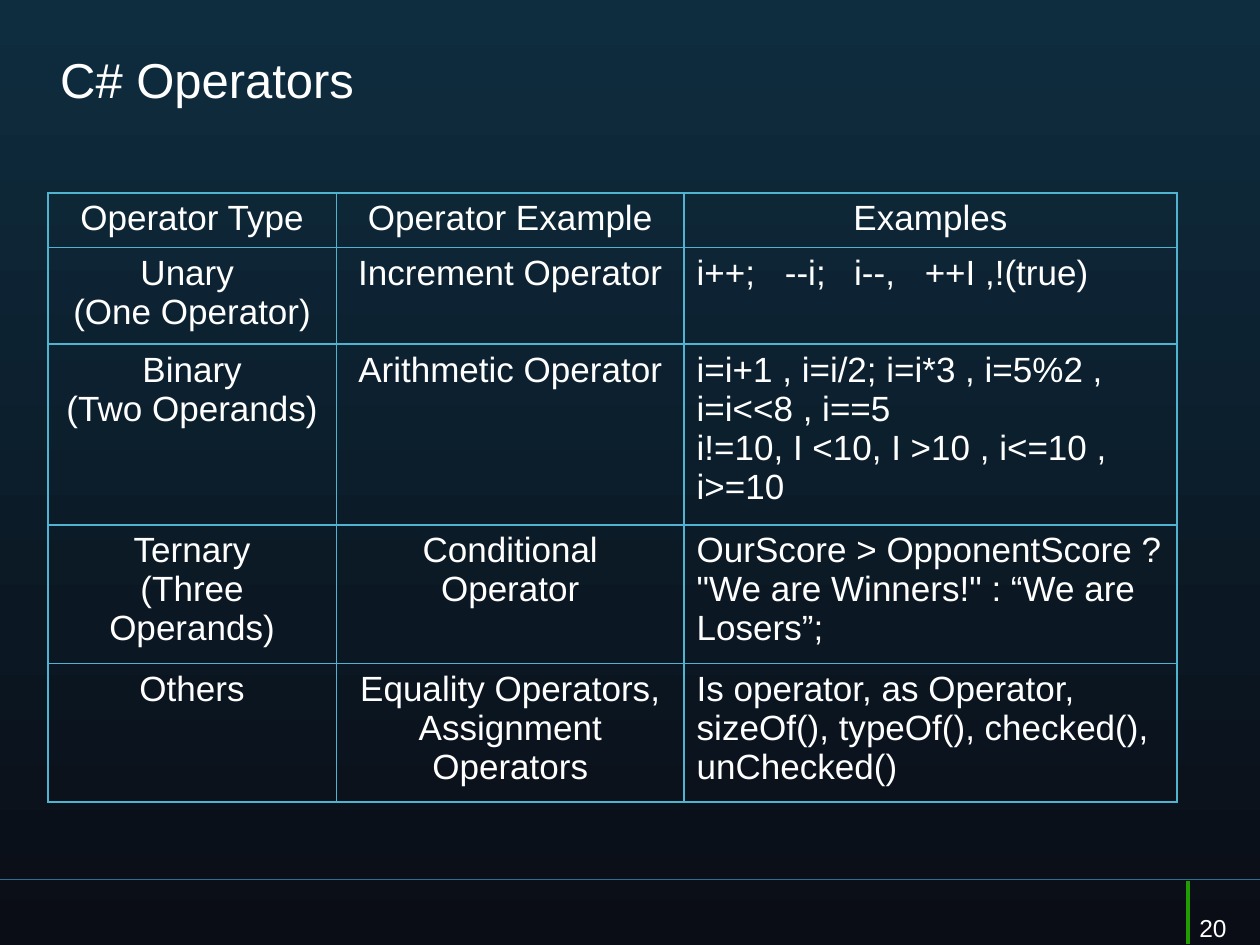
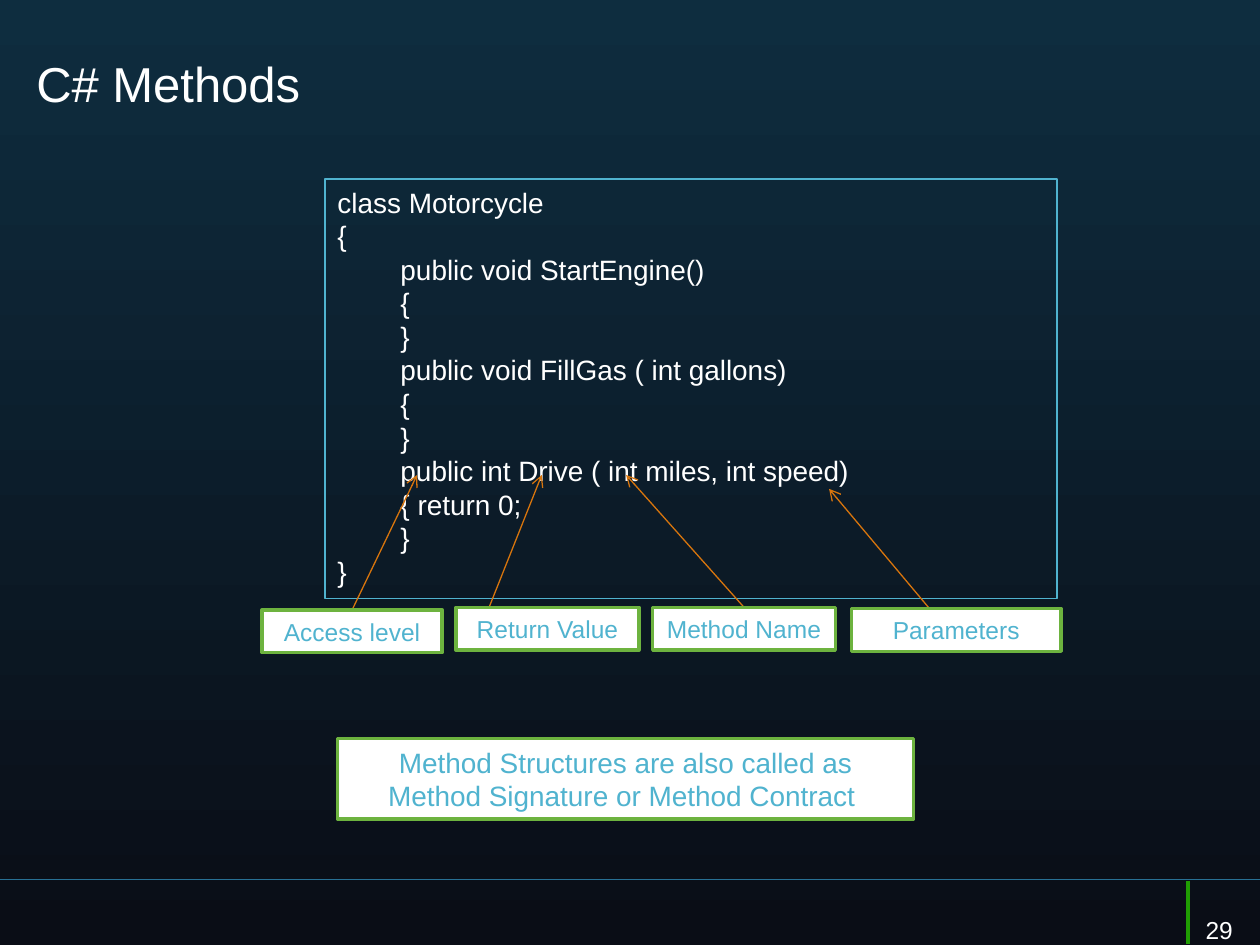
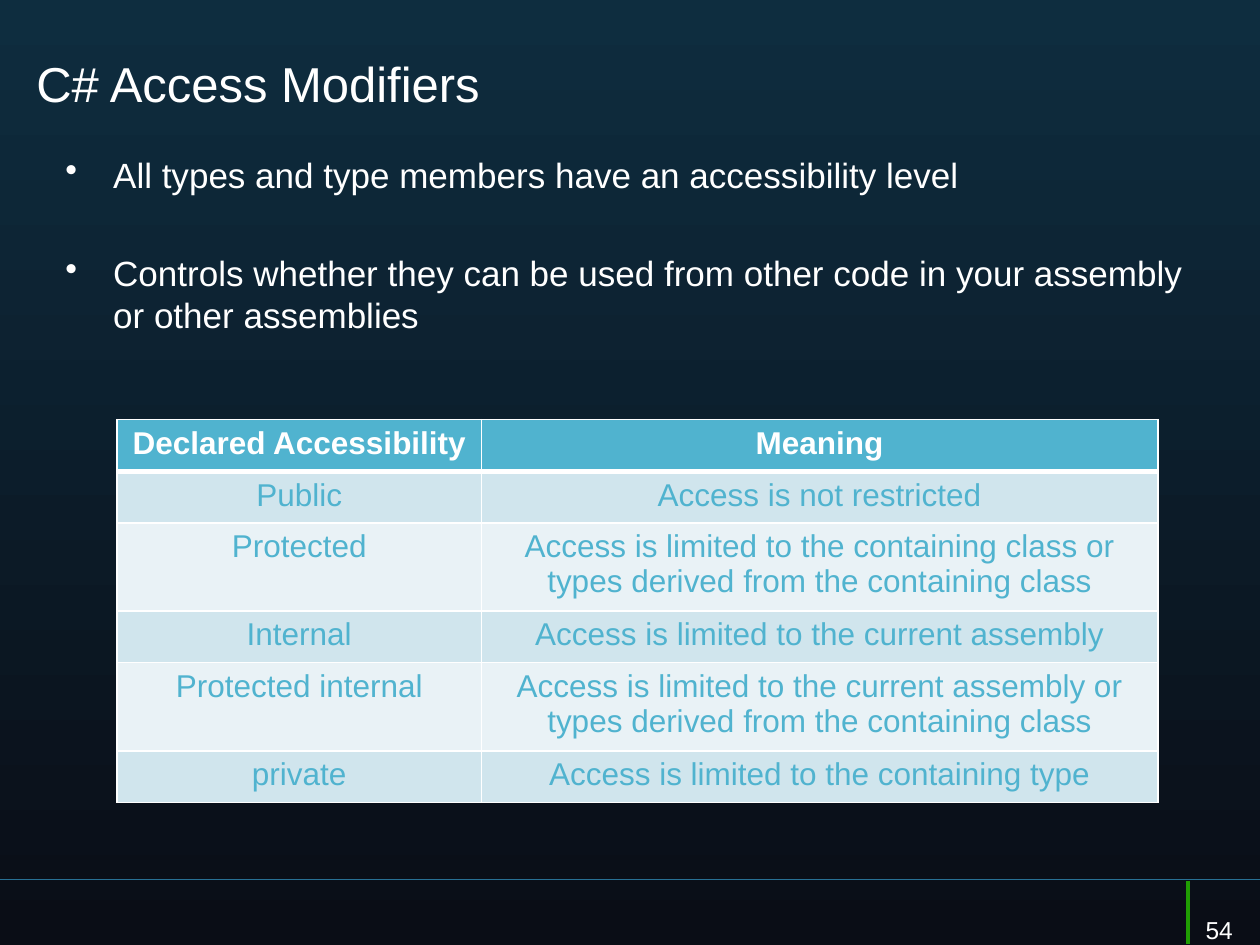
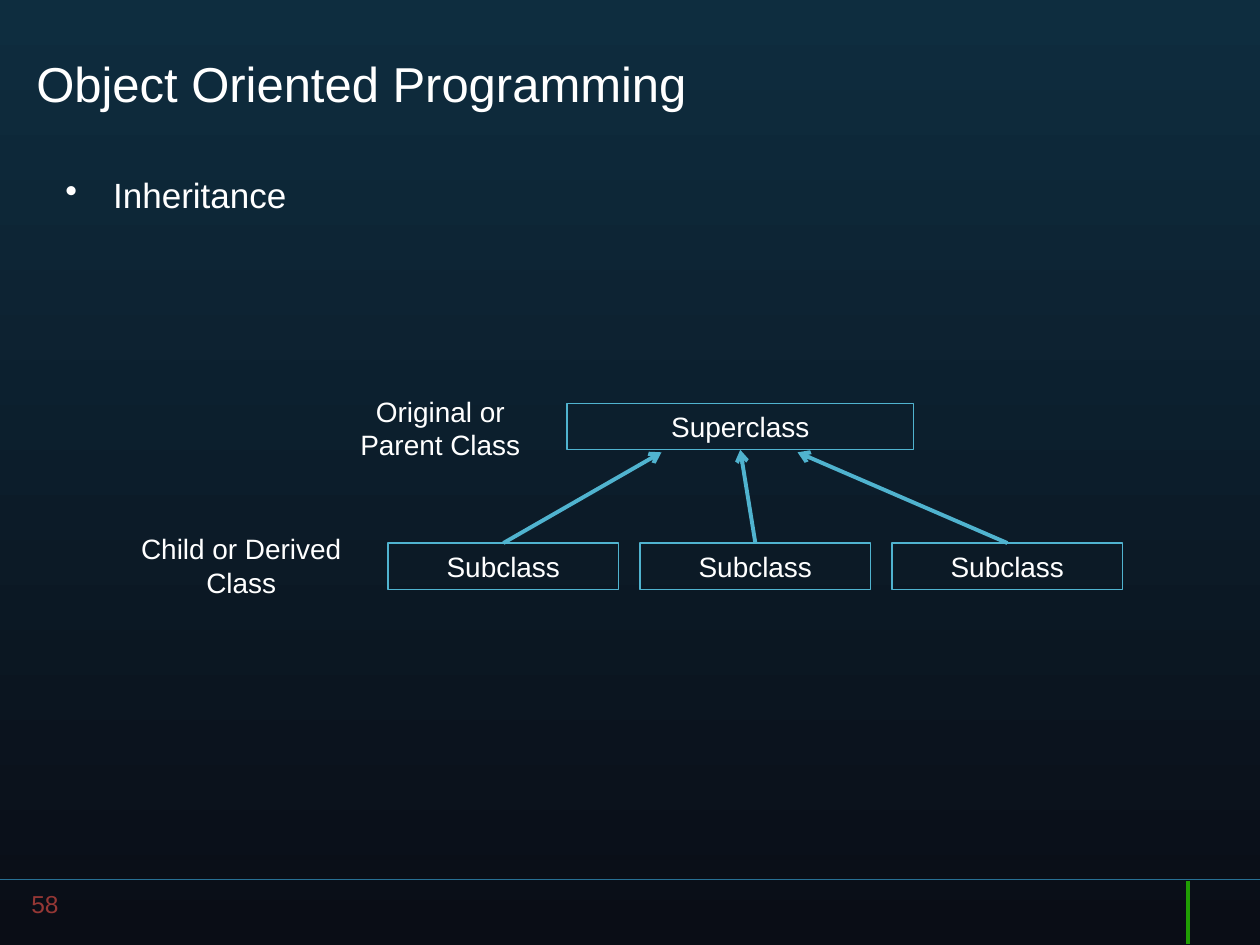
from dataclasses import dataclass

from lxml.etree import SubElement
from pptx import Presentation
from pptx.dml.color import RGBColor as Rgb
from pptx.enum.shapes import MSO_CONNECTOR as Connector, MSO_SHAPE as Preset
from pptx.enum.text import MSO_ANCHOR as Anchor, PP_ALIGN as Align
from pptx.oxml.ns import qn
from pptx.util import Inches, Pt


@dataclass(frozen=True)
class Theme:
    font: str = "Arial"
    top: str = "0E2D3F"
    bottom: str = "0A0D16"
    white: str = "FFFFFF"
    accent: str = "50B3CF"
    rule: str = "287094"
    marker: str = "209D03"
    label_edge: str = "6DB33F"
    arrow: str = "D8750D"
    red: str = "953735"
    bands: tuple = ("D0E5ED", "E9F2F6")
    title_size: int = 28
    body_size: int = 20
    table_size: int = 18
    code_size: int = 16
    small_size: int = 14


THEME = Theme()
TITLE_BOX = (0.19, 0.03, 9.24, 1.25)
TOP, BOTTOM = 0, 2


# Shared helpers
def apply(target, formats):
    for name, value in formats.items():
        setattr(target, name, value)


def write(frame, lines, size, color=THEME.white, bold=False, **formats):
    """Fill a text frame with one paragraph per line and return the paragraphs."""
    for index, line in enumerate(lines):
        para = frame.paragraphs[0] if index == 0 else frame.add_paragraph()
        apply(para, formats)
        span = para.add_run()
        span.text = line
        apply(span.font, {"name": THEME.font, "size": Pt(size), "bold": bold})
        span.font.color.rgb = Rgb.from_string(color)
    return frame.paragraphs


def add_text(page, box, lines, size, color=THEME.white, anchor=Anchor.TOP, align=Align.LEFT):
    frame = page.shapes.add_textbox(*map(Inches, box)).text_frame
    apply(frame, {"word_wrap": True, "vertical_anchor": anchor})
    return write(frame, lines, size, color, alignment=align)


def add_box(page, box, lines, size, color=THEME.white, fill=None, edge=THEME.accent,
            width=0.75, anchor=Anchor.MIDDLE, align=Align.CENTER):
    shape = page.shapes.add_shape(Preset.RECTANGLE, *map(Inches, box))
    shape.shadow.inherit = False
    if fill:
        shape.fill.solid()
        shape.fill.fore_color.rgb = Rgb.from_string(fill)
    else:
        shape.fill.background()
    shape.line.color.rgb = Rgb.from_string(edge)
    shape.line.width = Pt(width)
    apply(shape.text_frame, {"word_wrap": True, "vertical_anchor": anchor})
    write(shape.text_frame, lines, size, color, alignment=align)
    return shape


def add_label(page, box, text, size):
    return add_box(page, box, [text], size, THEME.accent, THEME.white, THEME.label_edge, 2)


def add_line(page, start, end, color, width, arrow=False):
    line = page.shapes.add_connector(Connector.STRAIGHT, *map(Inches, start + end))
    line.line.color.rgb = Rgb.from_string(color)
    line.line.width = Pt(width)
    if arrow:
        SubElement(line.line._get_or_add_ln(), qn("a:tailEnd"), type="arrow")
    SubElement(line._element.spPr, qn("a:effectLst"))
    return line


def add_bullets(page, box, lines):
    paras = add_text(page, box, lines, THEME.body_size)
    for index, para in enumerate(paras):
        if index:
            para.space_before = Pt(32)
        props = para._p.get_or_add_pPr()
        indent = Inches(0.38)
        props.set("marL", str(indent))
        props.set("indent", str(-indent))
        SubElement(props, qn("a:buChar"), char="•")


def set_borders(cell, color, widths):
    """Draw the left, right, top and bottom borders of a cell."""
    props = cell._tc.get_or_add_tcPr()
    for index, (edge, width) in enumerate(zip("LRTB", widths)):
        line = SubElement(props, qn(f"a:ln{edge}"), w=str(Pt(width)))
        SubElement(SubElement(line, qn("a:solidFill")), qn("a:srgbClr"), val=color)
        props.insert(index, line)


def add_grid(page, box, columns, heights, rows, style_cell):
    """Add a plain table; rows grow to their text, style_cell dresses each cell."""
    frame = page.shapes.add_table(len(rows), len(columns), *map(Inches, box))
    table = frame.table
    apply(table, {"first_row": False, "horz_banding": False})
    for column, width in zip(table.columns, columns):
        column.width = Inches(width)
    for row, height in zip(table.rows, heights):
        row.height = Inches(height)
    frame.height = Inches(box[3])
    for r, row in enumerate(rows):
        for c, text in enumerate(row):
            style_cell(table.cell(r, c), r, c, text.split("\n"))
    return table


def add_page(deck, title, number, title_box=TITLE_BOX, number_at=(9.47, 7.21),
             number_color=THEME.white):
    page = deck.slides.add_slide(deck.slide_layouts[6])
    # Background
    fill = page.background.fill
    fill.gradient()
    fill.gradient_angle = 270
    for stop, position, color in zip(fill.gradient_stops, (0, 1), (THEME.top, THEME.bottom)):
        stop.position = position
        stop.color.rgb = Rgb.from_string(color)
    # Footer lines and page number
    add_line(page, (10, 6.98), (0, 6.98), THEME.rule, 0.75)
    add_line(page, (9.43, 6.99), (9.43, 7.49), THEME.marker, 2)
    add_text(page, number_at + (0.5, 0.3), [str(number)], THEME.small_size, number_color)
    # Title
    add_text(page, title_box, [title], THEME.title_size, anchor=Anchor.MIDDLE)
    return page


# Operators
def operator_table(page, box):
    rows = [
        ("Operator Type", "Operator Example", "Examples"),
        ("Unary \n(One Operator)", "Increment Operator", "i++;\t--i;\ti--,\t++I ,!(true)"),
        ("Binary\n(Two Operands)", "Arithmetic Operator",
         "i=i+1 , i=i/2; i=i*3 , i=5%2 , i=i<<8 , i==5\ni!=10, I <10, I >10 , i<=10 , i>=10"),
        ("Ternary\n(Three Operands)", "Conditional Operator",
         'OurScore > OpponentScore ? "We are Winners!" : “We are Losers”;'),
        ("Others", "Equality Operators,\nAssignment Operators",
         "Is operator, as Operator, sizeOf(), typeOf(), checked(), unChecked()"),
    ]

    def style_cell(cell, row, column, lines):
        align = Align.LEFT if row and column == 2 else Align.CENTER
        write(cell.text_frame, lines, THEME.body_size, alignment=align)
        cell.fill.background()
        set_borders(cell, THEME.accent, (1, 1, 1, 1))

    table = add_grid(page, box, (2.29, 2.76, 3.91), [0.41] * 4 + [1.07], rows, style_cell)
    # Tab stops between the unary examples
    props = table.cell(1, 2).text_frame.paragraphs[0]._p.get_or_add_pPr()
    stops = SubElement(props, qn("a:tabLst"))
    for position in (0.7, 1.25, 1.81):
        SubElement(stops, qn("a:tab"), pos=str(Inches(position)), algn="l")


def operators_page(deck):
    page = add_page(deck, "C# Operators", 20, (0.38, 0, 9.07, 1.25), (9.42, 7.2))
    operator_table(page, (0.38, 1.53, 8.95, 4.83))


# Methods
def code_panel(page, box):
    members = ["public void StartEngine()", "{", "}",
               "public void FillGas ( int gallons)", "{", "}",
               "public int Drive ( int miles, int speed)", "{ return 0;", "}"]
    panel = add_box(page, box, ["class Motorcycle", "{", *members, "}"], THEME.code_size,
                    anchor=Anchor.TOP, align=Align.LEFT)
    for para in panel.text_frame.paragraphs[2:-1]:
        para._p.get_or_add_pPr().set("marL", str(Inches(0.5)))


def method_callouts(page, box):
    left, top = box[:2]
    # Label text, offset and width, arrow start and end, whether it starts mid-side
    callouts = [
        ("Access level", 0, 0.02, 1.43, (0.72, 0.02), (1.23, -1.05), True),
        ("Return Value", 1.54, 0, 1.45, (1.75, 0.13), (2.22, -1.05), False),
        ("Method Name", 3.1, 0, 1.45, (3.82, 0), (2.89, -1.05), True),
        ("Parameters", 4.68, 0.01, 1.66, (5.49, 0.24), (4.5, -0.94), False),
    ]
    arrows = [add_line(page, (left + start[0], top + start[1]), (left + end[0], top + end[1]),
                       THEME.arrow, 0.75, arrow=True)
              for *_, start, end, _ in callouts]
    for arrow, (text, x, y, width, _, _, joined) in zip(arrows, callouts):
        label = add_label(page, (left + x, top + y, width, 0.34), text, THEME.small_size)
        if joined:
            arrow.begin_connect(label, TOP)


def methods_page(deck):
    page = add_page(deck, "C# Methods", 29)
    code_panel(page, (2.58, 1.42, 5.81, 3.33))
    method_callouts(page, (2.08, 4.82, 6.34, 0.36))
    add_label(page, (2.68, 5.86, 4.57, 0.64),
              "Method Structures are also called as Method Signature or Method Contract ",
              THEME.code_size)


# Access modifiers
def modifier_table(page, box):
    limited = "Access is limited to the "
    derived = " or types derived from the containing class"
    rows = [
        ("Declared Accessibility", "Meaning"),
        ("Public", "Access is not restricted"),
        ("Protected", limited + "containing class" + derived),
        ("Internal", limited + "current assembly"),
        ("Protected internal", limited + "current assembly" + derived),
        ("private", limited + "containing type"),
    ]

    def style_cell(cell, row, column, lines):
        header = row == 0
        write(cell.text_frame, lines, THEME.table_size, THEME.white if header else THEME.accent,
              header, alignment=Align.CENTER)
        cell.fill.solid()
        band = THEME.accent if header else THEME.bands[(row - 1) % 2]
        cell.fill.fore_color.rgb = Rgb.from_string(band)
        set_borders(cell, THEME.white, (1, 1, 3 if row == 1 else 1, 3 if header else 1))

    add_grid(page, box, (2.89, 5.37), [0.41] * len(rows), rows, style_cell)


def modifiers_page(deck):
    page = add_page(deck, "C# Access Modifiers", 54)
    add_bullets(page, (0.42, 1.17, 9.3, 5.92), [
        "All types and type members have an accessibility level",
        "Controls whether they can be used from other code in your assembly or other assemblies",
    ])
    modifier_table(page, (0.93, 3.33, 8.27, 3.02))


# Inheritance
def class_tree(page, box):
    left, top = box[:2]
    parent = add_box(page, (left + 3.5, top + 0.12, 2.75, 0.37), ["Superclass"], THEME.code_size)
    children = [add_box(page, (left + 2.08 + 2 * index, top + 1.23, 1.83, 0.37), ["Subclass"],
                        THEME.code_size) for index in range(3)]
    # Arrows from each subclass to the superclass
    for index, (child, tip) in enumerate(zip(children, (4.25, 4.88, 5.33))):
        arrow = add_line(page, (left + 3 + 2 * index, top + 1.23), (left + tip, top + 0.51),
                         THEME.accent, 2.25, arrow=True)
        arrow.begin_connect(child, TOP)
        if index == 1:
            arrow.end_connect(parent, BOTTOM)
    # Captions
    for text, x, y in (("Original or Parent Class", 1.58, 0), ("Child or Derived Class", 0, 1.09)):
        add_text(page, (left + x, top + y, 1.83, 0.64), [text], THEME.code_size,
                 align=Align.CENTER)


def inheritance_page(deck):
    page = add_page(deck, "Object Oriented Programming", 58, number_at=(0.15, 7.01),
                    number_color=THEME.red)
    class_tree(page, (1, 3.08, 7.91, 1.73))
    add_bullets(page, (0.42, 1.33, 9.3, 5.92), ["Inheritance"])


def main():
    deck = Presentation()
    apply(deck, {"slide_width": Inches(10), "slide_height": Inches(7.5)})
    for build in (operators_page, methods_page, modifiers_page, inheritance_page):
        build(deck)
    deck.save("out.pptx")


if __name__ == "__main__":
    main()
